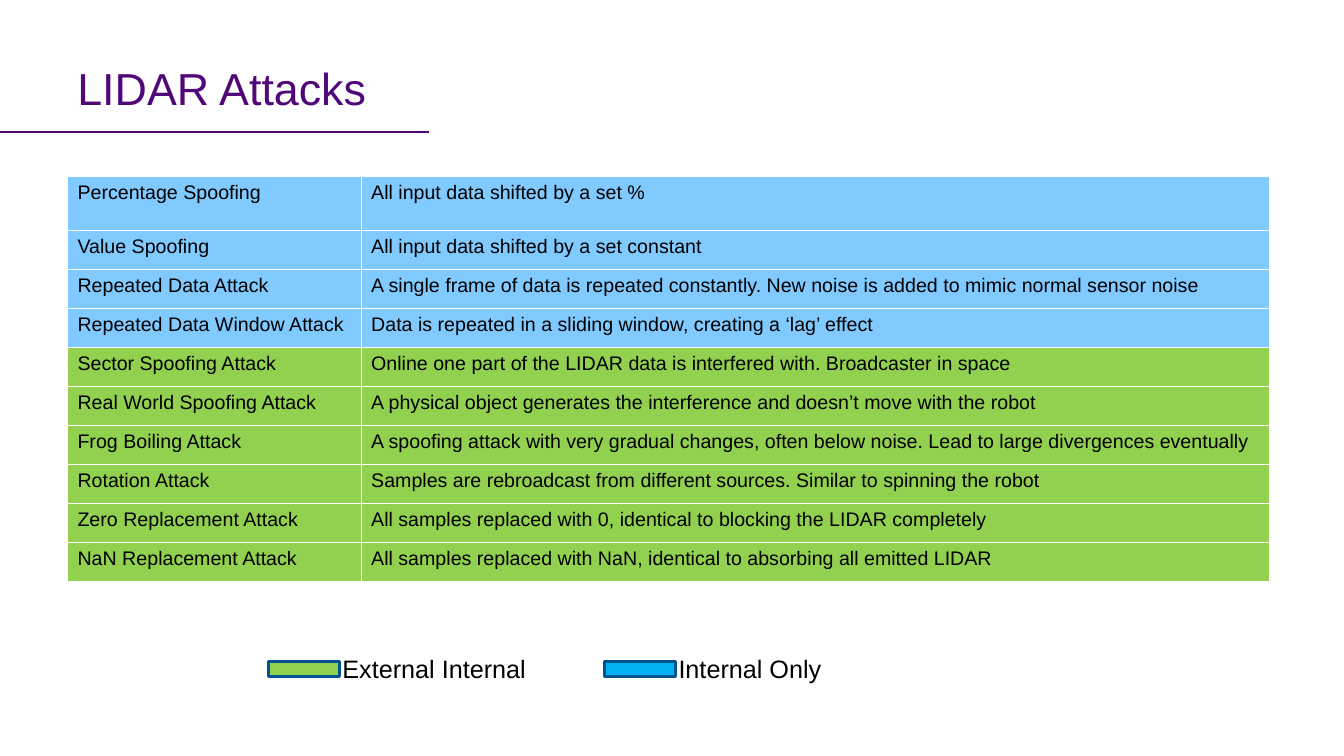
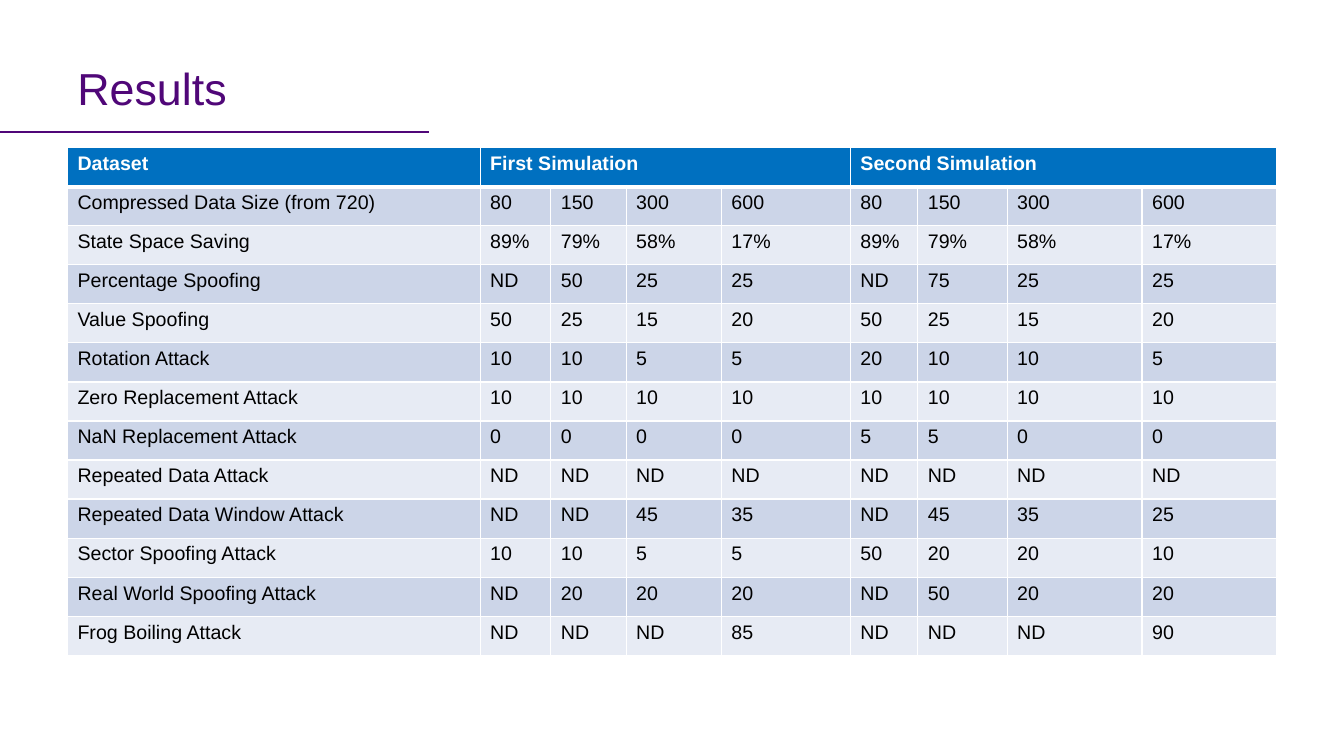
import pptx
import pptx.util
import pptx.dml.color
import pptx.enum.shapes
import pptx.enum.text
import pptx.oxml.ns
import lxml.etree

Cm = pptx.util.Cm
Pt = pptx.util.Pt

COLORS = {
    "title": "500778",
    "text": "000000",
    "white": "FFFFFF",
    "internal": "80CAFF",
    "external": "92D050",
    "internal_key": "00B0F0",
    "key_edge": "00538E",
    "header": "0070C0",
    "band_dark": "CCD5E8",
    "band_light": "E7EBF4",
}

FORMATS = {
    "title": {"name": "Arial", "size": Pt(32), "bold": False},
    "cell": {"name": "Arial", "size": Pt(14), "bold": False},
    "header": {"name": "Arial", "size": Pt(14), "bold": True},
    "legend": {"name": "Arial", "size": Pt(18), "bold": False},
}

MARGIN = 1.7

ATTACKS = [
    ("internal", "Percentage Spoofing", "All input data shifted by a set %"),
    ("internal", "Value Spoofing", "All input data shifted by a set constant"),
    ("internal", "Repeated Data Attack",
     "A single frame of data is repeated constantly. New noise is added to mimic normal sensor noise"),
    ("internal", "Repeated Data Window Attack",
     "Data is repeated in a sliding window, creating a ‘lag’ effect"),
    ("external", "Sector Spoofing Attack",
     "Online one part of the LIDAR data is interfered with. Broadcaster in space"),
    ("external", "Real World Spoofing Attack",
     "A physical object generates the interference and doesn’t move with the robot"),
    ("external", "Frog Boiling Attack",
     "A spoofing attack with very gradual changes, often below noise. Lead to large divergences eventually"),
    ("external", "Rotation Attack",
     "Samples are rebroadcast from different sources. Similar to spinning the robot"),
    ("external", "Zero Replacement Attack",
     "All samples replaced with 0, identical to blocking the LIDAR completely"),
    ("external", "NaN Replacement Attack",
     "All samples replaced with NaN, identical to absorbing all emitted LIDAR"),
]

LEGEND = [("external", "External Internal"), ("internal_key", "Internal Only")]

SIMULATIONS = ["First Simulation", "Second Simulation"]

RESULTS = [
    ("Compressed Data Size (from 720)", "80 150 300 600 80 150 300 600"),
    ("State Space Saving", "89% 79% 58% 17% 89% 79% 58% 17%"),
    ("Percentage Spoofing", "ND 50 25 25 ND 75 25 25"),
    ("Value Spoofing", "50 25 15 20 50 25 15 20"),
    ("Rotation Attack", "10 10 5 5 20 10 10 5"),
    ("Zero Replacement Attack", "10 10 10 10 10 10 10 10"),
    ("NaN Replacement Attack", "0 0 0 0 5 5 0 0"),
    ("Repeated Data Attack", "ND ND ND ND ND ND ND ND"),
    ("Repeated Data Window Attack", "ND ND 45 35 ND 45 35 25"),
    ("Sector Spoofing Attack", "10 10 5 5 50 20 20 10"),
    ("Real World Spoofing Attack", "ND 20 20 20 ND 50 20 20"),
    ("Frog Boiling Attack", "ND ND ND 85 ND ND ND 90"),
]


def rgb(color):
    return pptx.dml.color.RGBColor.from_string(COLORS[color])


def paint(fill, color):
    fill.solid()
    fill.fore_color.rgb = rgb(color)


def write(frame, text, style, color="text"):
    para = frame.paragraphs[0]
    span = para.add_run()
    span.text = text
    for attribute, value in FORMATS[style].items():
        setattr(span.font, attribute, value)
    span.font.color.rgb = rgb(color)


def add_label(page, box, text, style, color="text"):
    label = page.shapes.add_textbox(*map(Cm, box))
    label.text_frame.word_wrap = True
    write(label.text_frame, text, style, color)
    return label


def add_page(deck, title):
    page = deck.slides.add_slide(deck.slide_layouts[6])
    rule = page.shapes.add_connector(
        pptx.enum.shapes.MSO_CONNECTOR.STRAIGHT, Cm(0), Cm(3.32), Cm(10.8), Cm(3.32))
    rule.line.color.rgb = rgb("title")
    rule.line.width = Pt(1.5)
    lxml.etree.SubElement(
        rule._element.spPr, pptx.oxml.ns.qn("a:effectLst"))
    heading = add_label(page, (MARGIN, 1.1, 26.16, 2.22), title, "title", "title")
    heading.text_frame.vertical_anchor = pptx.enum.text.MSO_ANCHOR.MIDDLE
    return page


def set_borders(cell, bottom):
    properties = cell._tc.get_or_add_tcPr()
    qn = pptx.oxml.ns.qn
    for side, width in {"L": 1, "R": 1, "T": 1, "B": bottom}.items():
        edge = lxml.etree.SubElement(properties, qn("a:ln" + side), w=str(Pt(width)))
        fill = lxml.etree.SubElement(edge, qn("a:solidFill"))
        lxml.etree.SubElement(fill, qn("a:srgbClr"), val=COLORS["white"])


def fill_cell(cell, text, fill, style="cell", color="text", bottom=1):
    set_borders(cell, bottom)
    paint(cell.fill, fill)
    if text:
        write(cell.text_frame, text, style, color)


def add_grid(page, left, top, widths, heights):
    frame = page.shapes.add_table(
        len(heights), len(widths), Cm(left), Cm(top), Cm(sum(widths)), Cm(sum(heights)))
    table = frame.table
    table.first_row = table.horz_banding = False
    for column, width in zip(table.columns, widths):
        column.width = Cm(width)
    for row, height in zip(table.rows, heights):
        row.height = Cm(height)
    return table


def add_attack_table(page, left, top, height):
    first = 1.36
    others = len(ATTACKS) - 1
    heights = [first] + [(height - first) / others] * others
    table = add_grid(page, left, top, [7.4, 22.9], heights)
    for row, (kind, *texts) in enumerate(ATTACKS):
        for column, text in enumerate(texts):
            fill_cell(table.cell(row, column), text, kind)


def add_legend(page, left, top):
    for index, (color, text) in enumerate(LEGEND):
        start = left + index * 8.47
        add_label(page, (start + 1.62, top, 5.28, 1.02), text, "legend")
        swatch = page.shapes.add_shape(
            pptx.enum.shapes.MSO_SHAPE.RECTANGLE,
            Cm(start), Cm(top + 0.33), Cm(1.8), Cm(0.38))
        swatch.shadow.inherit = False
        paint(swatch.fill, color)
        swatch.line.color.rgb = rgb("key_edge")
        swatch.line.width = Pt(2)


def add_result_table(page, left, top, height):
    widths = [10.4, 1.78, 1.9, 2.4, 3.25, 1.7, 2.25, 3.4, 3.4]
    count = len(RESULTS) + 1
    table = add_grid(page, left, top, widths, [height / count] * count)
    span_size = (len(widths) - 1) // len(SIMULATIONS)
    headings = {0: "Dataset"}
    for index, simulation in enumerate(SIMULATIONS):
        start = 1 + index * span_size
        headings[start] = simulation
        table.cell(0, start).merge(table.cell(0, start + span_size - 1))
    for column in range(len(widths)):
        fill_cell(table.cell(0, column), headings.get(column), "header",
                  "header", "white", 3)
    for row, (name, values) in enumerate(RESULTS, 1):
        band = "band_dark" if row % 2 else "band_light"
        for column, text in enumerate([name, *values.split()]):
            fill_cell(table.cell(row, column), text, band)


def main():
    deck = pptx.Presentation()
    deck.slide_width = Cm(33.87)
    deck.slide_height = Cm(19.05)
    attacks = add_page(deck, "LIDAR Attacks")
    add_attack_table(attacks, MARGIN, 4.45, 10.2)
    add_legend(attacks, 6.76, 16.33)
    results = add_page(deck, "Results")
    add_result_table(results, MARGIN, 3.72, 12.8)
    deck.save("out.pptx")


if __name__ == "__main__":
    main()
